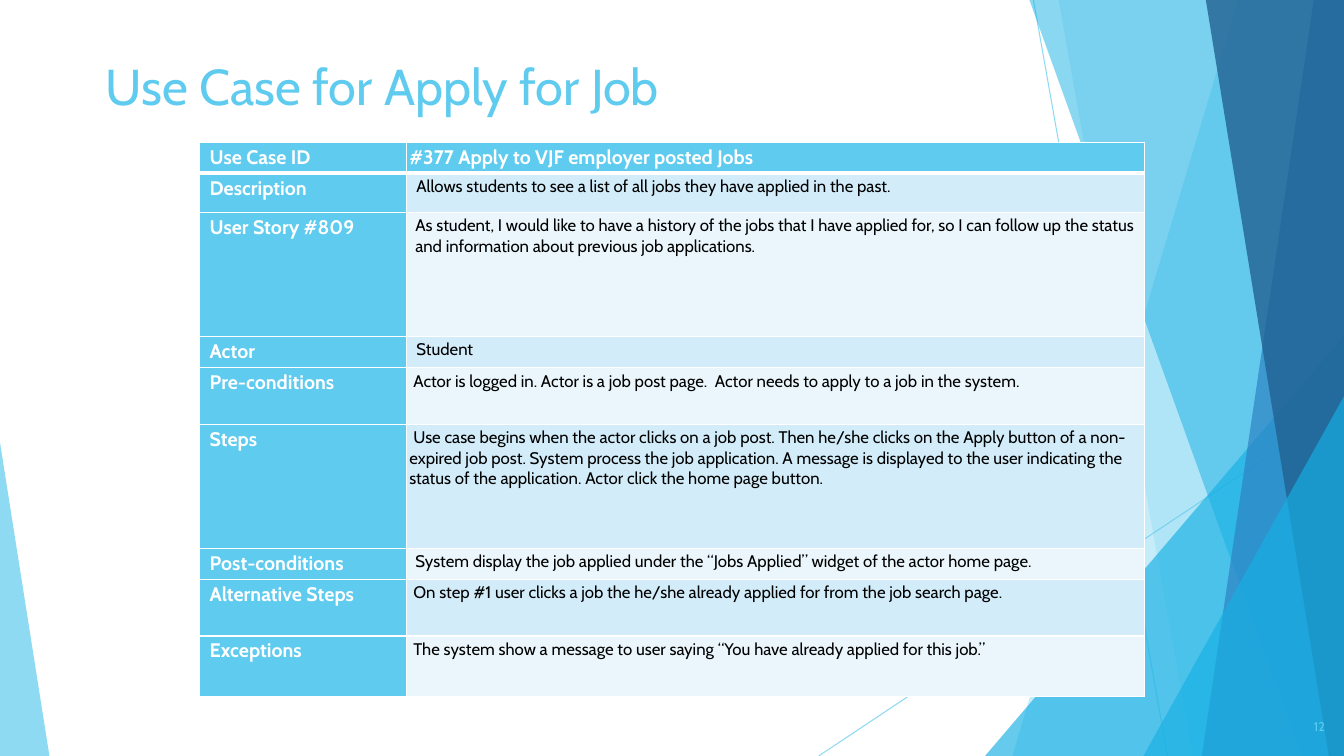
from dataclasses import dataclass

from lxml import etree
from pptx import Presentation
from pptx.dml.color import RGBColor
from pptx.enum.shapes import MSO_CONNECTOR, MSO_SHAPE
from pptx.enum.text import MSO_ANCHOR, PP_ALIGN
from pptx.oxml.ns import qn
from pptx.util import Inches, Pt

STRAIGHT = MSO_CONNECTOR.STRAIGHT
TRIANGLE = MSO_SHAPE.ISOSCELES_TRIANGLE
MIDDLE = MSO_ANCHOR.MIDDLE
LEFT, RIGHT = PP_ALIGN.LEFT, PP_ALIGN.RIGHT


@dataclass(frozen=True)
class Theme:
    font: str = "Cabin"
    sky: str = "5FCBEF"
    cyan: str = "17B0E4"
    blue: str = "2E83C3"
    navy: str = "226292"
    band_dark: str = "D2ECF9"
    band_light: str = "EAF6FC"
    white: str = "FFFFFF"
    black: str = "000000"
    title_size: int = 36
    label_size: int = 14
    body_size: int = 12
    number_size: int = 9
    border: int = 1
    header_border: int = 3


@dataclass(frozen=True)
class Box:
    left: float
    top: float
    width: float
    height: float

    @property
    def right(self):
        return self.left + self.width

    @property
    def bottom(self):
        return self.top + self.height

    def inches(self):
        return [Inches(v) for v in (self.left, self.top, self.width, self.height)]


THEME = Theme()
SLIDE = Box(0, 0, 13.33, 7.5)

USE_CASE = [
    ("Use Case ID", "#377 Apply to VJF employer posted Jobs", 0.31, 0, 0),
    ("Description", "Allows students to see a list of all jobs they have applied "
     "in the past.", 0.39, 0.07, 0),
    ("User Story #809", "As student, I would like to have a history of the jobs that "
     "I have applied for, so I can follow up the status and information about previous "
     "job applications.", 1.23, 0.06, 0),
    ("Actor", "Student", 0.31, 0.07, 0),
    ("Pre-conditions", "Actor is logged in. Actor is a job post page.  Actor needs to "
     "apply to a job in the system.", 0.56, 0, 0.04),
    ("Steps", "Use case begins when the actor clicks on a job post. Then he/she clicks "
     "on the Apply button of a non-expired job post. System process the job application. "
     "A message is displayed to the user indicating the status of the application. "
     "Actor click the home page button.", 1.23, 0, 0.04),
    ("Post-conditions", "System display the job applied under the “Jobs Applied” widget "
     "of the actor home page.", 0.31, 0.06, 0),
    ("Alternative Steps", "On step #1 user clicks a job the he/she already applied for "
     "from the job search page.", 0.56, 0, 0.04),
    ("Exceptions", "The system show a message to user saying “You have already applied "
     "for this job.”", 0.6, 0, 0.04),
]


def set_alpha(color_parent, percent):
    color = next(color_parent.iter(qn("a:srgbClr")))
    etree.SubElement(color, qn("a:alpha"), val=str(percent * 1000))


def write(paragraph, text, size, color, bold=False):
    run = paragraph.add_run()
    run.text = text
    for name, value in {"name": THEME.font, "size": Pt(size), "bold": bold}.items():
        setattr(run.font, name, value)
    run.font.color.rgb = RGBColor.from_string(color)


def paint(facet, color, opacity):
    facet.shadow.inherit = False
    facet.fill.solid()
    facet.fill.fore_color.rgb = RGBColor.from_string(color)
    facet.line.fill.background()
    set_alpha(facet.fill._xPr.find(qn("a:solidFill")), opacity)


def add_ray(slide, start, end):
    ray = slide.shapes.add_connector(STRAIGHT, *[Inches(v) for v in (*start, *end)])
    ray.line.color.rgb = RGBColor.from_string(THEME.sky)
    ray.line.width = Pt(0.75)
    properties = ray._element.spPr
    set_alpha(properties, 70)
    etree.SubElement(properties, qn("a:effectLst"))


def add_facet(slide, box, top_inset, bottom_inset, color, opacity):
    corners = [(box.right - top_inset, box.top), (box.right, box.top),
               (box.right, box.bottom), (box.right - bottom_inset, box.bottom)]
    points = [(Inches(x), Inches(y)) for x, y in corners]
    outline = slide.shapes.build_freeform(*points[0])
    outline.add_line_segments(points[1:], close=True)
    paint(outline.convert_to_shape(), color, opacity)


def add_corner(slide, box, apex, color, opacity):
    corner = slide.shapes.add_shape(TRIANGLE, *box.inches())
    corner.adjustments[0] = apex
    paint(corner, color, opacity)


def add_right_corner(slide, box, width, height, color, opacity):
    place = Box(box.right - width, box.bottom - height, width, height)
    add_corner(slide, place, 1, color, opacity)


def add_backdrop(slide, box):
    add_ray(slide, (box.right - 3.08, box.top), (box.right - 1.75, box.bottom))
    add_ray(slide, (box.right, box.top + 4.03), (box.right - 5.21, box.bottom))
    for draw, first, second, color, opacity in [
        (add_facet, 1.05, 3.29, THEME.sky, 36),
        (add_facet, 2.83, 1.5, THEME.sky, 20),
        (add_right_corner, 3.56, 4.17, THEME.cyan, 66),
        (add_facet, 3.12, 0.42, THEME.cyan, 50),
        (add_facet, 0.3, 1.41, THEME.blue, 70),
        (add_facet, 1.37, 0.15, THEME.navy, 80),
        (add_right_corner, 1.99, 3.57, THEME.cyan, 66),
    ]:
        draw(slide, box, first, second, color, opacity)
    add_corner(slide, Box(box.left, box.bottom - 3.11, 0.49, 3.11), 0, THEME.sky, 70)


def add_caption(slide, box, text, size, align):
    frame = slide.shapes.add_textbox(*box.inches()).text_frame
    frame.word_wrap = True
    frame.vertical_anchor = MIDDLE
    frame.paragraphs[0].alignment = align
    write(frame.paragraphs[0], text, size, THEME.sky)


def set_borders(cell, widths):
    properties = cell._tc.get_or_add_tcPr()
    for side, width in widths.items():
        edge = etree.SubElement(properties, qn(f"a:ln{side}"), w=str(Pt(width)))
        fill = etree.SubElement(edge, qn("a:solidFill"))
        etree.SubElement(fill, qn("a:srgbClr"), val=THEME.white)


def fill_cell(cell, text, size, color, bold, fill, margin, indent, borders):
    set_borders(cell, borders)
    cell.fill.solid()
    cell.fill.fore_color.rgb = RGBColor.from_string(fill)
    for side in ("left", "top", "right", "bottom"):
        setattr(cell, f"margin_{side}", Inches(0.03))
    paragraph = cell.text_frame.paragraphs[0]
    spacing = paragraph._p.get_or_add_pPr()
    for name, value in {"marL": margin, "indent": indent}.items():
        spacing.set(name, str(Inches(value)))
    write(paragraph, text, size, color, bold)


def add_use_case(slide, box):
    table = slide.shapes.add_table(len(USE_CASE), 2, *box.inches()).table
    label_width = 2.05
    table.columns[0].width = Inches(label_width)
    table.columns[1].width = Inches(box.width - label_width)
    for i, (label, detail, height, margin, indent) in enumerate(USE_CASE):
        table.rows[i].height = Inches(height)
        borders = {"L": THEME.border, "R": THEME.border,
                   "T": THEME.header_border if i == 1 else THEME.border,
                   "B": THEME.header_border if i == 0 else THEME.border}
        heading = (THEME.label_size, THEME.white, True, THEME.sky)
        band = THEME.band_dark if i % 2 else THEME.band_light
        body = heading if i == 0 else (THEME.body_size, THEME.black, False, band)
        fill_cell(table.cell(i, 0), label, *heading, 0.07, 0, borders)
        fill_cell(table.cell(i, 1), detail, *body, margin, indent, borders)


def main():
    deck = Presentation()
    deck.slide_width, deck.slide_height = Inches(SLIDE.width), Inches(SLIDE.height)
    slide = deck.slides.add_slide(deck.slide_layouts[6])
    add_backdrop(slide, SLIDE)
    add_caption(slide, Box(0.95, 0.48, 10.21, 0.73), "Use Case for Apply for Job",
                THEME.title_size, LEFT)
    add_use_case(slide, Box(1.98, 1.41, 9.37, sum(row[2] for row in USE_CASE)))
    add_caption(slide, Box(12.49, 7.01, 0.75, 0.4), "12", THEME.number_size, RIGHT)
    deck.save("out.pptx")


if __name__ == "__main__":
    main()
